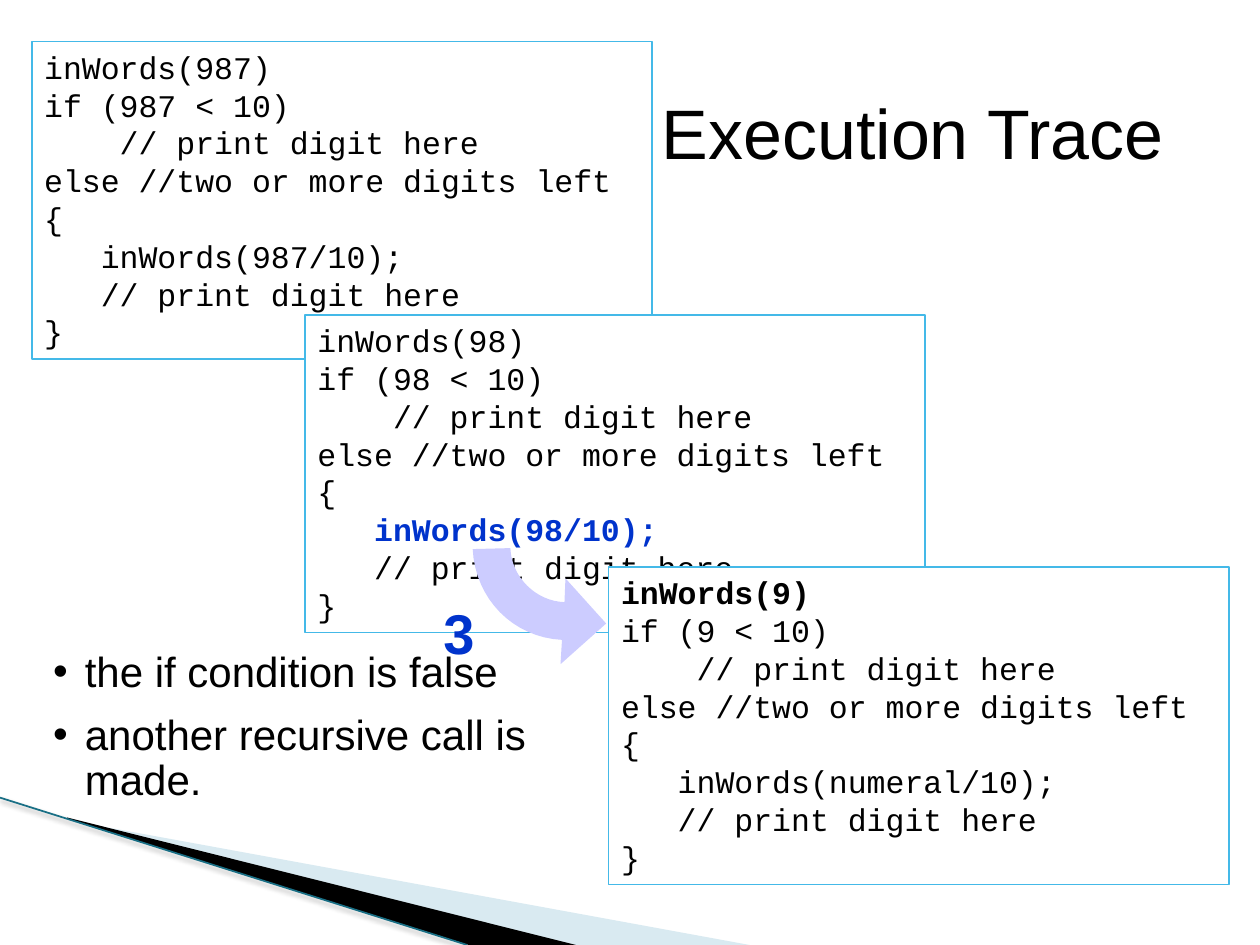
from lxml import etree
from pptx import Presentation
from pptx.dml.color import RGBColor
from pptx.enum.shapes import MSO_CONNECTOR, MSO_SHAPE
from pptx.enum.text import MSO_ANCHOR, MSO_AUTO_SIZE, PP_ALIGN
from pptx.oxml.ns import qn
from pptx.util import Cm, Pt

LEFT = PP_ALIGN.LEFT
TOP, MIDDLE = MSO_ANCHOR.TOP, MSO_ANCHOR.MIDDLE
NO_AUTOFIT = MSO_AUTO_SIZE.NONE
RECTANGLE = MSO_SHAPE.RECTANGLE
STRAIGHT = MSO_CONNECTOR.STRAIGHT

BLACK = RGBColor(0x00, 0x00, 0x00)
WHITE = RGBColor(0xFF, 0xFF, 0xFF)
BLUE = RGBColor(0x00, 0x33, 0xCC)
SKY = RGBColor(0x44, 0xB9, 0xE8)
LAVENDER = RGBColor(0xCC, 0xCC, 0xFF)
PALE = RGBColor(0xD9, 0xEA, 0xF1)
TEAL = RGBColor(0x19, 0x6F, 0x85)

TITLE = "Execution Trace"
NOTES = ["the if condition is false", "another recursive call is made."]
STEP = "3"
CALLS = [
    {"value": "987", "inner": "987", "at": (0.64, 0.84), "emphasis": {}},
    {"value": "98", "inner": "98", "at": (6.15, 6.35),
     "emphasis": {5: {"bold": True, "color": BLUE}}},
    {"value": "9", "inner": "numeral", "at": (12.27, 11.43),
     "emphasis": {0: {"bold": True}}},
]
CODE = [
    "inWords({value})",
    "if ({value} < 10)",
    "    // print digit here",
    "else //two or more digits left",
    "{{",
    "   inWords({inner}/10);",
    "   // print digit here",
    "}}",
]
CALL_SIZE = (12.5, 6.4)

SWOOSHES = [
    (PALE, [(1.4, 16.54), (15.11, 19.05), (11.58, 19.05), (1.4, 16.51)]),
    (BLACK, [(1.35, 16.48), (11.61, 19.05), (9.45, 19.05), (1.37, 16.51)]),
]
EDGE = ((0, 16.08), (9.42, 19.05))

INNER_ARC = [(11.38, 12.14), (10.8, 12.12), (10.31, 11.63), (10.29, 11.05)]
OUTER_ARC = [(9.53, 11.07), (9.58, 12.07), (10.34, 12.85), (11.33, 12.9)]
ARROW_HEAD = [(11.3, 13.39), (13.39 - 1.17, 12.57), (11.4, 11.66)]


def write(paragraph, text, font="Arial", size=18, color=BLACK, bold=False):
    run = paragraph.add_run()
    run.text = text
    run.font.name = font
    run.font.size = Pt(size)
    run.font.color.rgb = color
    run.font.bold = bold


def place(shape, left, top, width, height):
    shape.left, shape.top = Cm(left), Cm(top)
    shape.width, shape.height = Cm(width), Cm(height)


def open_frame(shape, anchor=TOP, margins=True):
    frame = shape.text_frame
    frame.word_wrap = True
    frame.auto_size = NO_AUTOFIT
    frame.vertical_anchor = anchor
    if not margins:
        frame.margin_left = frame.margin_right = 0
        frame.margin_top = frame.margin_bottom = 0
    return frame


def paragraphs(frame, count):
    for index in range(count):
        paragraph = frame.add_paragraph() if index else frame.paragraphs[0]
        paragraph.alignment = LEFT
        yield paragraph


def bezier(points, steps=16):
    for step in range(steps + 1):
        t = step / steps
        weights = ((1 - t) ** 3, 3 * t * (1 - t) ** 2, 3 * t * t * (1 - t), t ** 3)
        yield tuple(sum(w * p[axis] for w, p in zip(weights, points)) for axis in (0, 1))


def add_outline(slide, points, color):
    start, *rest = [(Cm(x), Cm(y)) for x, y in points]
    builder = slide.shapes.build_freeform(*start)
    builder.add_line_segments(rest, close=True)
    outline = builder.convert_to_shape()
    outline.shadow.inherit = False
    outline.fill.solid()
    outline.fill.fore_color.rgb = color
    outline.line.fill.background()


def add_edge(slide):
    (x1, y1), (x2, y2) = EDGE
    edge = slide.shapes.add_connector(STRAIGHT, Cm(x1), Cm(y1), Cm(x2), Cm(y2))
    edge.line.color.rgb = TEAL
    edge.line.width = Pt(1)
    effects = etree.SubElement(edge.line._get_or_add_ln().getparent(), qn("a:effectLst"))
    shadow = etree.SubElement(effects, qn("a:outerShdw"), blurRad=str(Pt(3.1)),
                              dist=str(Pt(1.6)), dir="5400000", rotWithShape="0")
    tint = etree.SubElement(shadow, qn("a:srgbClr"), val=str(BLACK))
    etree.SubElement(tint, qn("a:alpha"), val="38000")


def add_title(slide):
    title = slide.shapes.title
    place(title, 13.34, 1.27, 11, 2.97)
    title.fill.solid()
    title.fill.fore_color.rgb = WHITE
    for paragraph in paragraphs(open_frame(title, MIDDLE, margins=False), 1):
        paragraph.line_spacing = 0.9
        write(paragraph, TITLE, size=40)


def add_notes(slide):
    body = slide.placeholders[1]
    place(body, 1.07, 13.13, 10.59, 5.28)
    frame = open_frame(body, margins=False)
    for index, paragraph in enumerate(paragraphs(frame, len(NOTES))):
        paragraph.line_spacing = 0.9
        paragraph.space_before = Pt(10 if index else 0)
        properties = paragraph._p.get_or_add_pPr()
        properties.set("marL", str(Cm(0.64)))
        properties.set("indent", str(-Cm(0.64)))
        etree.SubElement(properties, qn("a:buFont"), typeface="Arial")
        etree.SubElement(properties, qn("a:buChar"), char="•")
        write(paragraph, NOTES[index], size=24)


def add_call(slide, call):
    box = slide.shapes.add_shape(RECTANGLE, 0, 0, 0, 0)
    place(box, *call["at"], *CALL_SIZE)
    box.shadow.inherit = False
    box.fill.solid()
    box.fill.fore_color.rgb = WHITE
    box.line.color.rgb = SKY
    box.line.width = Pt(1)
    for index, paragraph in enumerate(paragraphs(open_frame(box), len(CODE))):
        line = CODE[index].format(value=call["value"], inner=call["inner"])
        write(paragraph, line, font="Courier New", **call["emphasis"].get(index, {}))


def add_step(slide):
    label = slide.shapes.add_textbox(Cm(8.69), Cm(11.94), Cm(1.27), Cm(1.6))
    for paragraph in paragraphs(open_frame(label), 1):
        write(paragraph, STEP, size=32, color=BLUE, bold=True)


def main():
    deck = Presentation()
    deck.slide_width, deck.slide_height = Cm(25.4), Cm(19.05)
    slide = deck.slides.add_slide(deck.slide_layouts[1])
    for color, points in SWOOSHES:
        add_outline(slide, points, color)
    add_edge(slide)
    add_title(slide)
    add_notes(slide)
    for call in CALLS:
        add_call(slide, call)
    add_outline(slide, [*bezier(INNER_ARC), *bezier(OUTER_ARC), *ARROW_HEAD], LAVENDER)
    add_step(slide)
    deck.save("out.pptx")


if __name__ == "__main__":
    main()
